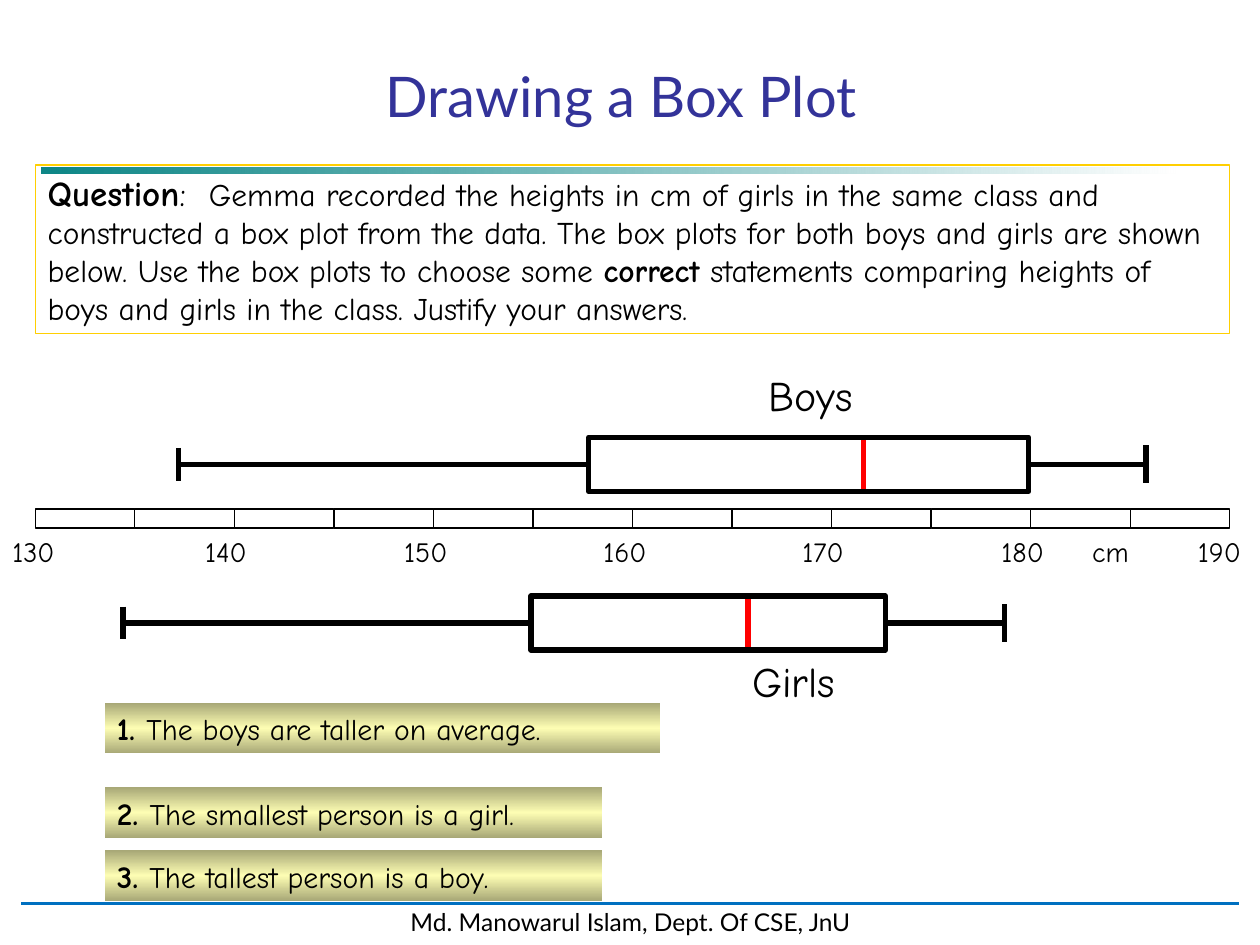
from pptx import Presentation
from pptx.dml.color import RGBColor
from pptx.enum.shapes import MSO_CONNECTOR, MSO_SHAPE
from pptx.enum.text import MSO_ANCHOR, PP_ALIGN
from pptx.oxml import parse_xml
from pptx.oxml.ns import nsdecls
from pptx.util import Inches, Pt

RECT, LINE = MSO_SHAPE.RECTANGLE, MSO_CONNECTOR.STRAIGHT
TOP, MIDDLE = MSO_ANCHOR.TOP, MSO_ANCHOR.MIDDLE
LEFT, CENTER = PP_ALIGN.LEFT, PP_ALIGN.CENTER
HAND, SANS = "Comic Neue", "Lato"

HEX = {
    "white": "FFFFFF", "black": "000000", "red": "FF0000", "title": "333399",
    "teal": "008080", "gold": "FFCF01", "blue": "0070C0",
    "olive": "A8A877", "cream": "FDFDB3",
}

# Content
TITLE = "Drawing a Box Plot"
FOOTER = "Md. Manowarul Islam, Dept. Of CSE, JnU"
QUESTION = [
    ("Question", 20, True),
    (":\t", 20, False),
    ("Gemma recorded the heights in cm of girls in the same class and "
     "constructed a box plot from the data. The box plots for both boys and "
     "girls are shown below. Use the box plots to choose some ", 18, False),
    ("correct", 18, True),
    (" statements comparing heights of boys and girls in the class. "
     "Justify your answers.", 18, False),
]
# Number, statement, top, width
CLAIMS = [
    ("1. ", "The boys are taller on average.", 5.58, 4.41),
    ("2. ", "The smallest person is a girl.", 6.25, 3.95),
    ("3. ", "The tallest person is a boy.", 6.75, 3.95),
]
# Name, five-figure summary in cm, box top, label place
PLOTS = [
    ("Boys", (137.2, 157.8, 171.6, 179.9, 185.8), 3.47, (6, 2.88)),
    ("Girls", (134.4, 154.9, 165.8, 172.7, 178.7), 4.73, (5.87, 5.15)),
]
LOW, HIGH, STEP = 130, 190, 5
AXIS_X, AXIS_Y, AXIS_W, AXIS_H = 0.28, 4.04, 9.48, 0.15
BOX_H = 0.43

prs = Presentation()
prs.slide_width, prs.slide_height = Inches(10), Inches(7.5)
slide = prs.slides.add_slide(prs.slide_layouts[5])
shapes = slide.shapes


def rgb(name):
    return RGBColor.from_string(HEX[name])


def place(val):
    """Left edge of a height in cm on the scale."""
    return AXIS_X + (val - LOW) * AXIS_W / (HIGH - LOW)


def write(shape, runs, face=HAND, color="black", align=LEFT, anchor=TOP,
          wrap=True):
    frame = shape.text_frame
    form = {
        "word_wrap": wrap, "vertical_anchor": anchor,
        "margin_left": Inches(0.1), "margin_right": Inches(0.1),
        "margin_top": Inches(0.05), "margin_bottom": Inches(0.05),
    }
    for key, val in form.items():
        setattr(frame, key, val)
    para = frame.paragraphs[0]
    para.alignment = align
    for text, size, bold in runs:
        run = para.add_run()
        run.text = text
        for key, val in {"name": face, "size": Pt(size), "bold": bold}.items():
            setattr(run.font, key, val)
        run.font.color.rgb = rgb(color)
    return para


def rect(x, y, w, h, line=None, width=0.75, fill=None):
    shape = shapes.add_shape(RECT, Inches(x), Inches(y), Inches(w), Inches(h))
    shape.shadow.inherit = False
    if fill:
        shape.fill.solid()
        shape.fill.fore_color.rgb = rgb(fill)
    else:
        shape.fill.background()
    if line:
        shape.line.color.rgb = rgb(line)
        shape.line.width = Pt(width)
    else:
        shape.line.fill.background()
    return shape


def blend(shape, stops, angle):
    """Gradient fill; stops are (percent, colour, opacity percent)."""
    marks = "".join(
        f'<a:gs pos="{pos * 1000}"><a:srgbClr val="{HEX[name]}">'
        f'<a:alpha val="{alpha * 1000}"/></a:srgbClr></a:gs>'
        for pos, name, alpha in stops)
    grad = parse_xml(
        f'<a:gradFill {nsdecls("a")} rotWithShape="1"><a:gsLst>{marks}'
        f'</a:gsLst><a:lin ang="{angle * 60000}" scaled="0"/></a:gradFill>')
    props = shape.element.spPr
    props.replace(props.find("{*}noFill"), grad)


def line(x1, y1, x2, y2, color="black", width=3):
    conn = shapes.add_connector(
        LINE, Inches(x1), Inches(y1), Inches(x2), Inches(y2))
    conn.line.color.rgb = rgb(color)
    conn.line.width = Pt(width)
    conn.element.spPr.append(parse_xml(f'<a:effectLst {nsdecls("a")}/>'))
    return conn


def label(text, x, y, w, h, size):
    box = shapes.add_textbox(Inches(x), Inches(y), Inches(w), Inches(h))
    write(box, [(text, size, False)])


# Title
title = shapes.title
spot = {"left": 0.67, "top": 0.42, "width": 8.52, "height": 0.67}
for key, val in spot.items():
    setattr(title, key, Inches(val))
write(title, [(TITLE, 32, False)], SANS, "title", CENTER, MIDDLE)

# Header bar and footer
blend(rect(0.33, 1.33, 9, 0.05), [(0, "teal", 95), (100, "white", 100)], 0)
foot = rect(0.17, 7.15, 9.67, 0.33, "white", 2, "white")
write(foot, [(FOOTER, 14, False)], SANS, align=CENTER, anchor=MIDDLE,
      wrap=False)
line(0.17, 7.17, 9.83, 7.17, "blue", 1.75)

# Question, with a tab stop after its heading
para = write(rect(AXIS_X, 1.31, AXIS_W, 1.34, "gold"), QUESTION)
para._p.get_or_add_pPr().append(parse_xml(
    f'<a:tabLst {nsdecls("a")}><a:tab pos="{Inches(1.28)}" algn="l"/>'
    '</a:tabLst>'))

# Scale
for val in range(LOW, HIGH, STEP):
    rect(place(val), AXIS_Y, AXIS_W * STEP / (HIGH - LOW), AXIS_H, "black")
for val in range(LOW, HIGH + 1, 2 * STEP):
    x = min(max(place(val) - 0.33, 0), 9.41)
    label(str(val), x, AXIS_Y + AXIS_H, 0.66, 0.37, 16)
label("cm", 8.57, AXIS_Y + AXIS_H, 0.79, 0.37, 16)

# Box plots
for name, vals, top, (x, y) in PLOTS:
    least, lower, median, upper, most = map(place, vals)
    mid = top + BOX_H / 2
    line(median, top, median, top + BOX_H, "red")
    box = rect(lower, top, upper - lower, BOX_H, "black", 3)
    for end, edge, side, half in ((least, lower, 1, 0.13),
                                  (most, upper, 3, 0.15)):
        line(end, mid, edge, mid).end_connect(box, side)
        line(end, mid - half, end, mid + half)
    label(name, x, y, 1.18, 0.5, 24)

# Statements
for num, text, top, width in CLAIMS:
    card = rect(0.83, top, width, 0.4)
    blend(card, [(0, "olive", 100), (50, "cream", 100), (100, "olive", 100)],
          90)
    write(card, [(num, 18, True), (text, 17, False)])

prs.save("out.pptx")
